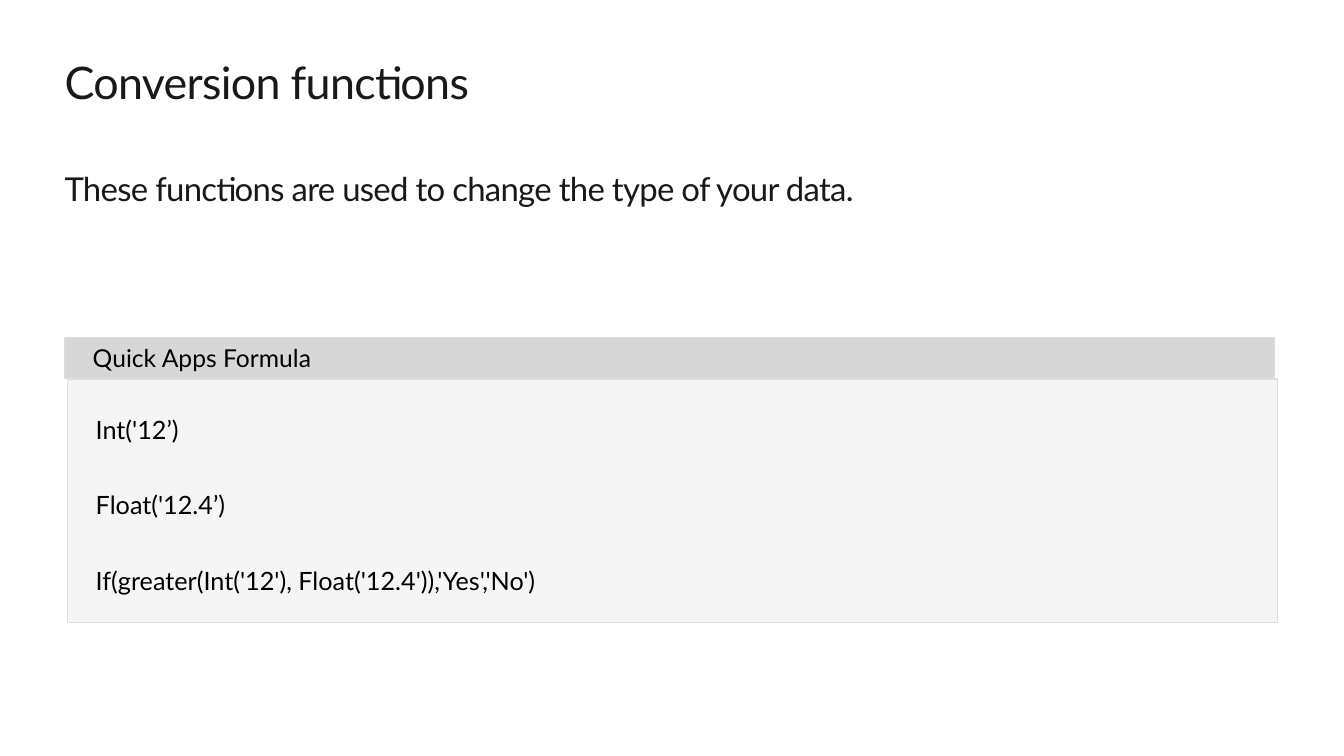
from pptx import Presentation
from pptx.dml.color import RGBColor
from pptx.enum.shapes import MSO_SHAPE
from pptx.enum.text import MSO_ANCHOR, PP_ALIGN
from pptx.util import Inches, Pt

HEADING = "Conversion functions"
INTRO = "These functions are used to change the type of your data."
PANEL_LABEL = "Quick Apps Formula"
FORMULAS = [
    "Int('12’)",
    "Float('12.4’)",
    "If(greater(Int('12'), Float('12.4')),'Yes','No')",
]

THEME = {
    "font": "Lato",
    "text": RGBColor.from_string("191919"),
    "code": RGBColor.from_string("000000"),
    "label_fill": RGBColor.from_string("D7D7D7"),
    "code_fill": RGBColor.from_string("F5F5F5"),
    "border": RGBColor.from_string("DCDCDC"),
    "border_width": 0.85,
    "heading_size": 32,
    "intro_size": 23.5,
    "label_size": 17.6,
    "code_size": 18,
    "tracking": -50,
}

LEFT = 0.64
TEXT_WIDTH = 12.05
PANEL_WIDTH = 12
TEXT_INSETS = (0, 0.1, 0.16, 0.1)
LABEL_INSETS = (0.28, 0.05, 0.1, 0.05)
CODE_INSETS = (0.28,) * 4


def write(shape, lines, size, color, insets, anchor=MSO_ANCHOR.TOP,
          line_spacing=1.0, gap=0, tracking=0):
    frame = shape.text_frame
    frame.word_wrap = True
    frame.vertical_anchor = anchor
    (frame.margin_left, frame.margin_top,
     frame.margin_right, frame.margin_bottom) = map(Inches, insets)
    for index, line in enumerate(lines):
        paragraph = frame.add_paragraph() if index else frame.paragraphs[0]
        paragraph.alignment = PP_ALIGN.LEFT
        paragraph.line_spacing = line_spacing
        if index:
            paragraph.space_before = Pt(gap)
        run = paragraph.add_run()
        run.text = line
        run.font.name = THEME["font"]
        run.font.size = Pt(size)
        run.font.color.rgb = color
        if tracking:
            run._r.get_or_add_rPr().set("spc", str(tracking))


def add_text(slide, top, height, line, size, line_spacing=1.0):
    box = slide.shapes.add_textbox(*map(Inches, (LEFT, top, TEXT_WIDTH, height)))
    write(box, [line], size, THEME["text"], TEXT_INSETS,
          line_spacing=line_spacing, tracking=THEME["tracking"])


def add_panel(slide, left, top, height, fill):
    panel = slide.shapes.add_shape(
        MSO_SHAPE.RECTANGLE, *map(Inches, (left, top, PANEL_WIDTH, height)))
    panel.shadow.inherit = False
    panel.fill.solid()
    panel.fill.fore_color.rgb = fill
    panel.line.color.rgb = THEME["border"]
    panel.line.width = Pt(THEME["border_width"])
    return panel


def main():
    deck = Presentation()
    deck.slide_width, deck.slide_height = Inches(13.33), Inches(7.5)
    slide = deck.slides.add_slide(deck.slide_layouts[6])

    add_text(slide, 0.5, 0.6, HEADING, THEME["heading_size"], line_spacing=0.9)
    add_text(slide, 1.57, 0.47, INTRO, THEME["intro_size"])

    code_panel = add_panel(slide, LEFT + 0.03, 3.76, 2.42, THEME["code_fill"])
    write(code_panel, FORMULAS, THEME["code_size"], THEME["code"], CODE_INSETS,
          MSO_ANCHOR.MIDDLE, line_spacing=1.25, gap=27)
    label_panel = add_panel(slide, LEFT, 3.35, 0.4, THEME["label_fill"])
    write(label_panel, [PANEL_LABEL], THEME["label_size"], THEME["code"],
          LABEL_INSETS, MSO_ANCHOR.MIDDLE)

    deck.save("out.pptx")


if __name__ == "__main__":
    main()
